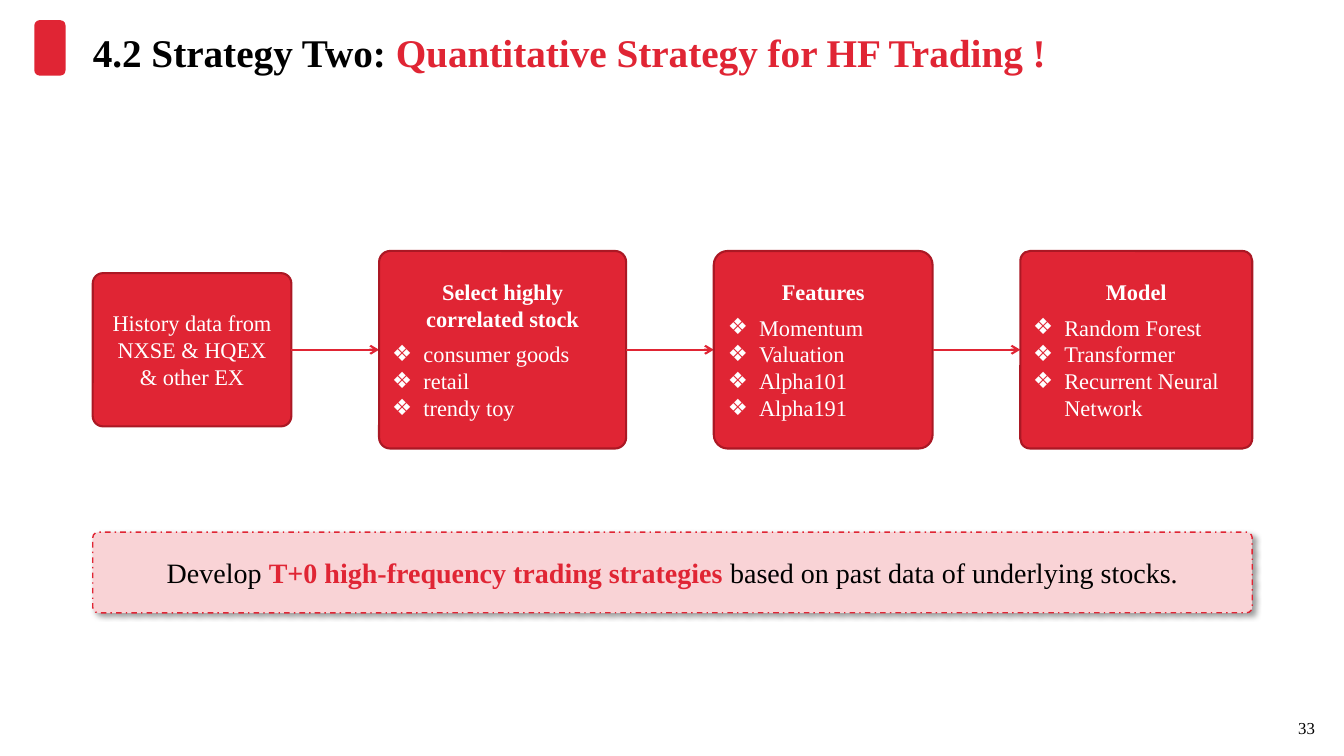
from lxml import etree
from pptx import Presentation
from pptx.dml.color import RGBColor
from pptx.enum.dml import MSO_LINE
from pptx.enum.shapes import MSO_CONNECTOR, MSO_SHAPE
from pptx.enum.text import MSO_ANCHOR, MSO_AUTO_SIZE, PP_ALIGN
from pptx.oxml.ns import qn
from pptx.util import Pt

PX = 9144  # 100 px to the inch
FONT = "Times New Roman"
COLORS = {"red": "E02534", "dark_red": "AB1824", "pink": "F9D3D6",
          "white": "FFFFFF", "black": "000000"}


def add_text(p, text, size, color, bold=False):
    r = p.add_run()
    r.text = text
    r.font.name = FONT
    r.font.size = Pt(size)
    r.font.bold = bold
    r.font.color.rgb = RGBColor.from_string(COLORS[color])


def add_box(x, y, w, h, radius, fill, line=None, line_width=1.5):
    """Add a rounded box without a shadow; radius is a share of the short side."""
    sp = slide.shapes.add_shape(MSO_SHAPE.ROUNDED_RECTANGLE, x * PX, y * PX, w * PX, h * PX)
    sp.adjustments[0] = radius
    sp.shadow.inherit = False
    sp.fill.solid()
    sp.fill.fore_color.rgb = RGBColor.from_string(COLORS[fill])
    if line:
        sp.line.color.rgb = RGBColor.from_string(COLORS[line])
        sp.line.width = Pt(line_width)
    else:
        sp.line.fill.background()
    sp.text_frame.word_wrap = True
    sp.text_frame.vertical_anchor = MSO_ANCHOR.MIDDLE
    return sp


prs = Presentation()
prs.slide_width, prs.slide_height = 1333 * PX, 750 * PX
slide = prs.slides.add_slide(prs.slide_layouts[5])

# Title
add_box(34, 20, 31, 55, 0.17, "red")
title = slide.shapes.title
title.left, title.top, title.width, title.height = 84 * PX, 20 * PX, 1100 * PX, 55 * PX
tf = title.text_frame
tf.auto_size = MSO_AUTO_SIZE.NONE
tf.vertical_anchor = MSO_ANCHOR.MIDDLE
tf.margin_left = tf.margin_right = tf.margin_top = 8 * PX
tf.margin_bottom = 0
p = tf.paragraphs[0]
p.alignment = PP_ALIGN.LEFT
add_text(p, "4.2 Strategy Two: ", 28, "black", True)
add_text(p, "Quantitative Strategy for HF Trading !", 28, "red", True)

# Flow: width, height, radius, centred lines, bullets
LEFT, GAP, MIDDLE = 92, 87, 347
steps = [
    (197, 152, 0.067, ["History data from", "NXSE & HQEX", "& other EX"], []),
    (245, 196, 0.056, ["Select highly correlated stock"],
     ["consumer goods", "retail", "trendy toy"]),
    (217, 196, 0.07, ["Features"], ["Momentum", "Valuation", "Alpha101", "Alpha191"]),
    (230, 196, 0.05, ["Model"],
     ["Random Forest", "Transformer", "Recurrent Neural Network"]),
]
x = LEFT
for w, h, radius, heading, bullets in steps:
    if x > LEFT:
        arrow = slide.shapes.add_connector(
            MSO_CONNECTOR.STRAIGHT, (x - GAP) * PX, MIDDLE * PX, x * PX, MIDDLE * PX)
        arrow.line.color.rgb = RGBColor.from_string(COLORS["red"])
        arrow.line.width = Pt(1.5)
        etree.SubElement(arrow.line._get_or_add_ln(), qn("a:tailEnd"), type="arrow")
        etree.SubElement(arrow._element.spPr, qn("a:effectLst"))
    tf = add_box(x, MIDDLE - h // 2, w, h, radius, "red", "dark_red").text_frame
    for i, text in enumerate(heading + bullets):
        p = tf.add_paragraph() if i else tf.paragraphs[0]
        is_bullet = i >= len(heading)
        p.alignment = PP_ALIGN.LEFT if is_bullet else PP_ALIGN.CENTER
        if is_bullet:
            pPr = p._p.get_or_add_pPr()
            pPr.set("marL", str(31 * PX))
            pPr.set("indent", str(-31 * PX))
            etree.SubElement(pPr, qn("a:buFont"), typeface="Arial")
            etree.SubElement(pPr, qn("a:buChar"), char="❖")
            if i == len(heading):
                p.space_before = Pt(6)
        add_text(p, text, 16, "white", bool(bullets) and not is_bullet)
    x += w + GAP

# Conclusion
note = add_box(LEFT, 528, 1150, 80, 0.069, "pink", "red", 1)
note.line.dash_style = MSO_LINE.DASH_DOT
effects = note._element.spPr.find(qn("a:effectLst"))
shadow = etree.SubElement(effects, qn("a:outerShdw"), blurRad=str(Pt(4)), dist=str(Pt(3)),
                          dir=str(45 * 60000), algn="tl", rotWithShape="0")
shade = etree.SubElement(shadow, qn("a:srgbClr"), val=COLORS["black"])
etree.SubElement(shade, qn("a:alpha"), val="40000")
p = note.text_frame.paragraphs[0]
p.alignment = PP_ALIGN.CENTER
add_text(p, "Develop ", 20, "black")
add_text(p, "T+0 high-frequency trading strategies", 20, "red", True)
add_text(p, " based on past data of underlying stocks.", 20, "black")

# Page number
number = slide.shapes.add_textbox(1242 * PX, 702 * PX, 72 * PX, 40 * PX)
tf = number.text_frame
tf.word_wrap = True
tf.vertical_anchor = MSO_ANCHOR.MIDDLE
p = tf.paragraphs[0]
p.alignment = PP_ALIGN.RIGHT
add_text(p, "33", 12, "black")

prs.save("out.pptx")
